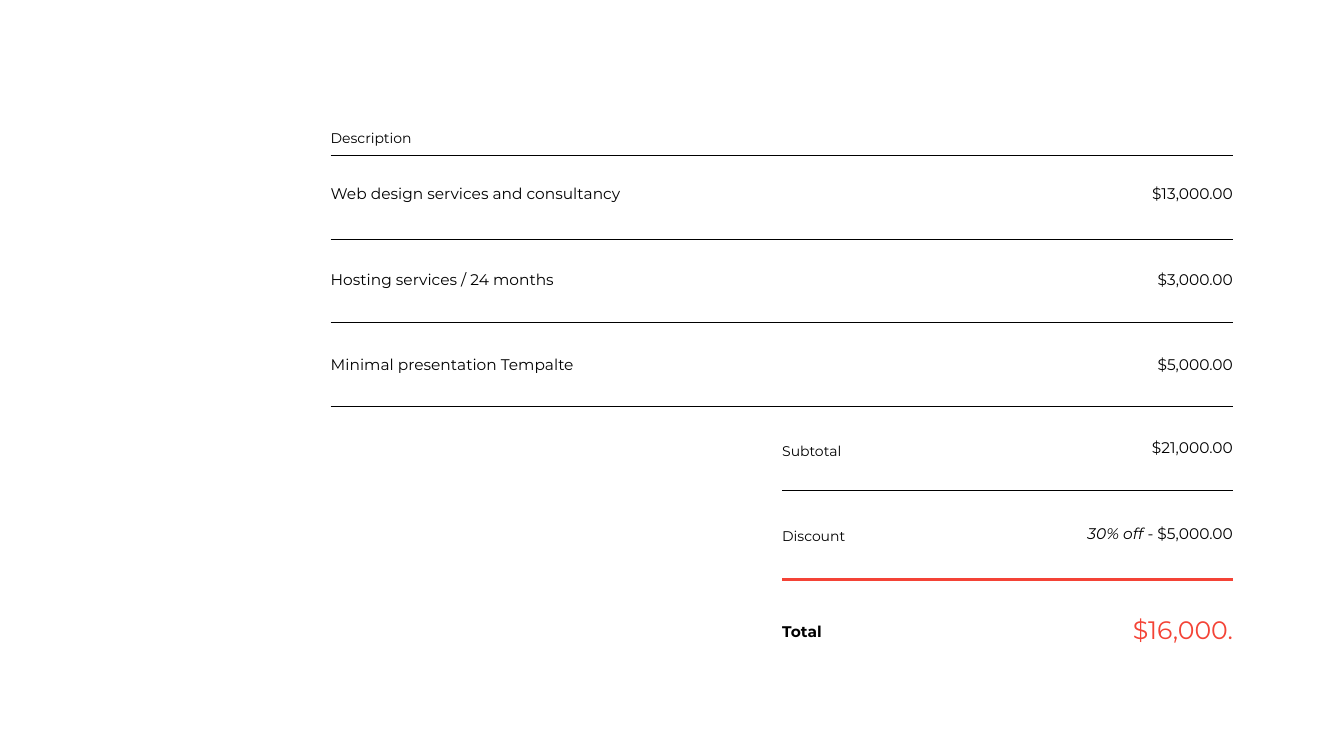
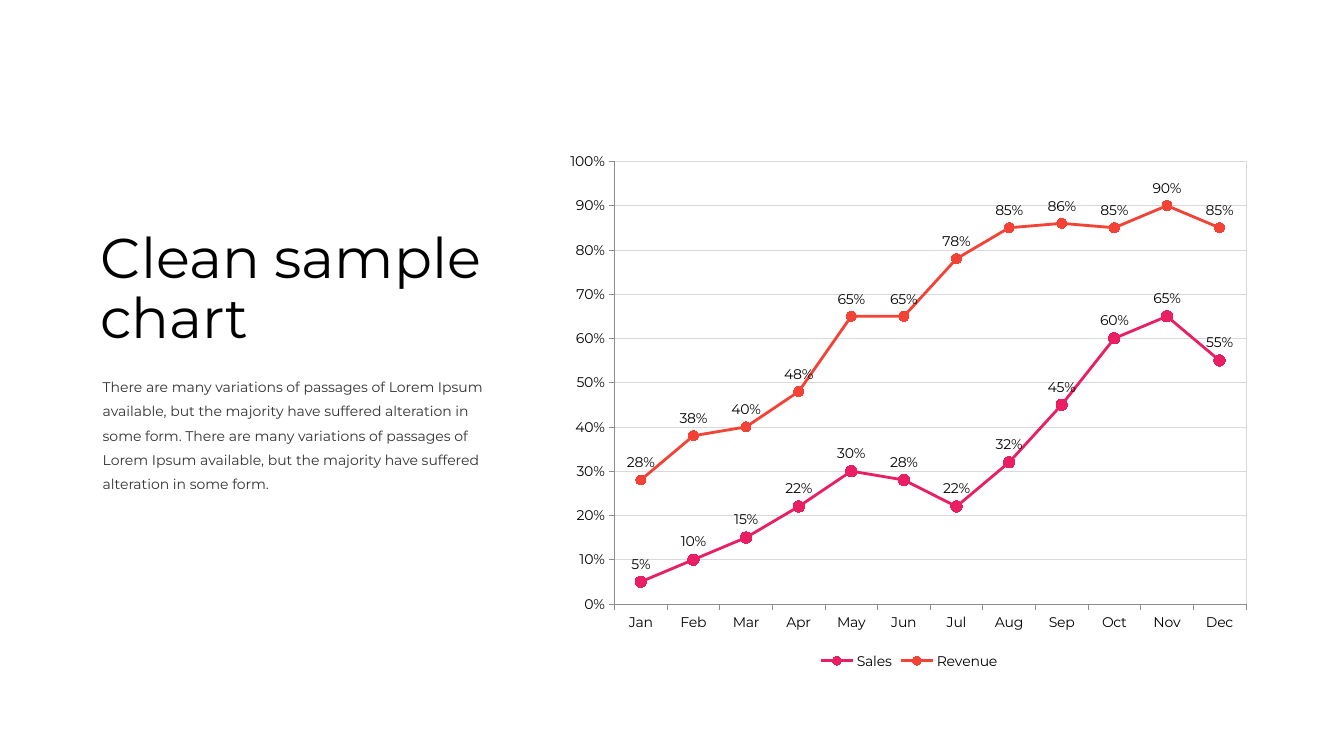
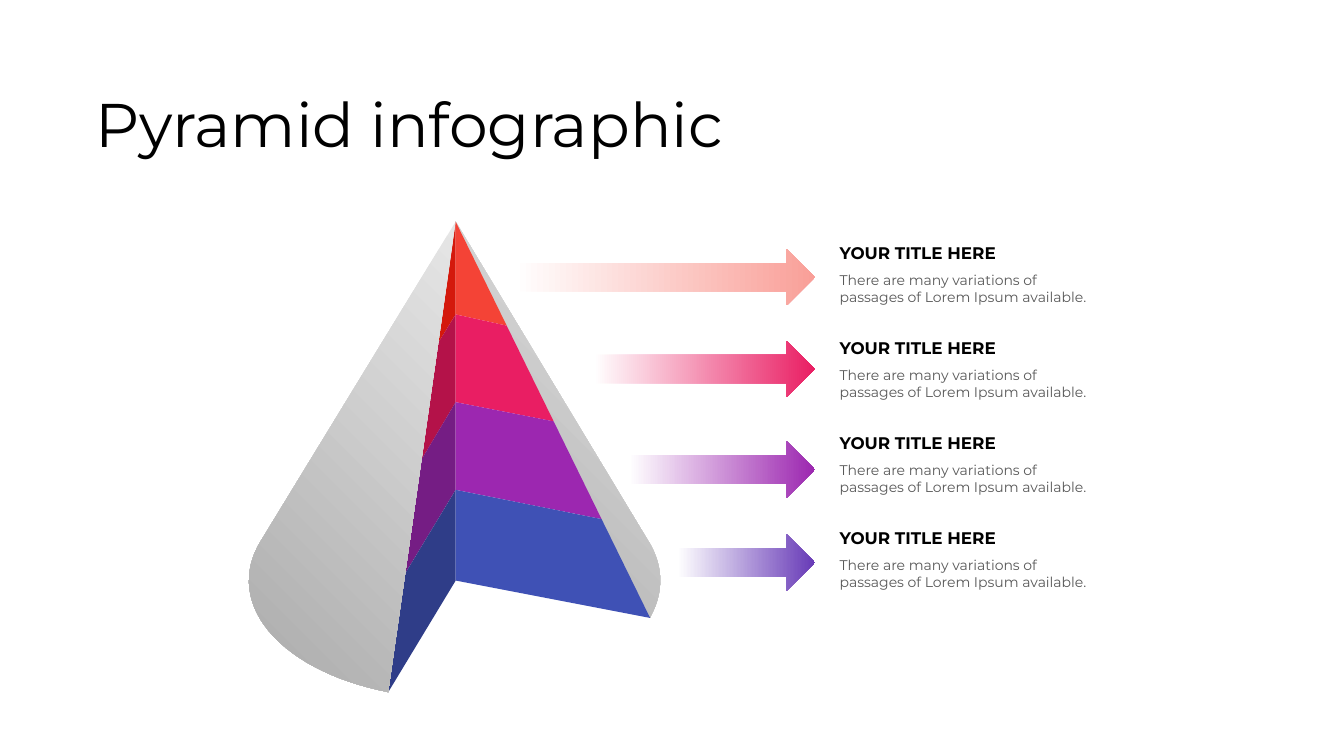
import math
from dataclasses import dataclass
from itertools import pairwise

from lxml import etree
from pptx import Presentation
from pptx import util as u
from pptx.chart.data import CategoryChartData
from pptx.dml.color import RGBColor
from pptx.enum import chart as charts, shapes, text
from pptx.oxml.ns import qn


@dataclass(frozen=True)
class Theme:
    font: str = "Montserrat"
    black: str = "000000"
    white: str = "FFFFFF"
    body: str = "333333"
    caption: str = "595959"
    red: str = "F44336"
    pink: str = "E91E63"
    purple: str = "9C27B0"
    indigo: str = "3F51B5"
    violet: str = "673AB7"
    salmon: str = "F99F98"
    dark_faces: tuple = ("D4190C", "B41249", "751D84", "2F3D88")
    cone_dark: str = "ABABAB"
    cone_light: str = "E6E6E6"
    axis: str = "8C8C8C"
    grid: str = "D9D9D9"
    title: float = 44
    heading: float = 40
    total: float = 18
    label: float = 12
    item: float = 11
    small: float = 10


THEME = Theme()
LEFT, RIGHT = text.PP_ALIGN.LEFT, text.PP_ALIGN.RIGHT
FLUSH = (0, 3.6, 0, 3.6)


@dataclass(frozen=True)
class Span:
    words: str
    size: float
    color: str = THEME.black
    bold: bool = False
    italic: bool = False


def rgb(color):
    return RGBColor.from_string(color)


def style_font(font, size, color, bold=False, italic=False):
    font.name, font.size = THEME.font, u.Pt(size)
    font.bold, font.italic = bold, italic
    font.color.rgb = rgb(color)


def add_text(page, area, paras, inset=FLUSH, align=LEFT, spacing=None, gap=0):
    """Add a text box; each paragraph is a list of spans."""
    box = page.shapes.add_textbox(*map(u.Pt, area))
    frame = box.text_frame
    frame.word_wrap = True
    (frame.margin_left, frame.margin_top,
     frame.margin_right, frame.margin_bottom) = map(u.Pt, inset)
    for index, spans in enumerate(paras):
        para = frame.add_paragraph() if index else frame.paragraphs[0]
        para.alignment = align
        if spacing:
            para.line_spacing = spacing
        if index:
            para.space_before = u.Pt(gap)
        for span in spans:
            for row, words in enumerate(span.words.split("\n")):
                if row:
                    para.add_line_break()
                run = para.add_run()
                run.text = words
                style_font(run.font, span.size, span.color, span.bold, span.italic)


def add_rule(page, left, right, top, color=THEME.black, width=0.5):
    rule = page.shapes.add_connector(
        shapes.MSO_CONNECTOR.STRAIGHT, *map(u.Pt, (left, top, right, top)))
    rule.line.color.rgb = rgb(color)
    rule.line.width = u.Pt(width)
    etree.SubElement(rule._element.spPr, qn("a:effectLst"))


def fill_gradient(shape, start, end):
    shape.fill.gradient()
    shape.fill.gradient_angle = 0
    for stop, color in zip(shape.fill.gradient_stops, (start, end)):
        stop.color.rgb = rgb(color)


def add_polygon(page, points, color=None):
    """Draw a closed outline without a border."""
    corners = [(u.Pt(x), u.Pt(y)) for x, y in points]
    builder = page.shapes.build_freeform(*corners[0])
    builder.add_line_segments(corners[1:], close=True)
    polygon = builder.convert_to_shape()
    polygon.shadow.inherit = False
    polygon.line.fill.background()
    if color:
        polygon.fill.solid()
        polygon.fill.fore_color.rgb = rgb(color)
    return polygon


def add_cone_side(page, points):
    """Shade a cone side radially from its lower left corner."""
    side = add_polygon(page, points)
    fill_gradient(side, THEME.cone_dark, THEME.cone_light)
    gradient = side._element.spPr.find(qn("a:gradFill"))
    gradient.remove(gradient.find(qn("a:lin")))
    radial = etree.SubElement(gradient, qn("a:path"))
    radial.set("path", "circle")
    focus = etree.SubElement(radial, qn("a:fillToRect"))
    focus.set("t", "100000")
    focus.set("r", "100000")


def add_arrow(page, left, top, right, color):
    arrow = page.shapes.add_shape(
        shapes.MSO_SHAPE.RIGHT_ARROW, *map(u.Pt, (left, top, right - left, 40.4)))
    arrow.shadow.inherit = False
    arrow.line.fill.background()
    fill_gradient(arrow, THEME.white, color)


def frame_plot(chart, place):
    """Place the plot area by fractions of the chart and outline it."""
    plot_area = chart._chartSpace.find(".//" + qn("c:plotArea"))
    layout = plot_area.find(qn("c:layout"))
    if layout is None:
        layout = etree.Element(qn("c:layout"))
        plot_area.insert(0, layout)
    manual = etree.SubElement(layout, qn("c:manualLayout"))
    settings = {"layoutTarget": "inner", "xMode": "edge", "yMode": "edge", **place}
    for name, value in settings.items():
        etree.SubElement(manual, qn("c:" + name)).set("val", str(value))
    outline = etree.SubElement(
        etree.SubElement(plot_area, qn("c:spPr")), qn("a:ln"), w=str(u.Pt(0.5)))
    solid = etree.SubElement(outline, qn("a:solidFill"))
    etree.SubElement(solid, qn("a:srgbClr"), val=THEME.grid)


def add_line_chart(page, area, months, series):
    """Add a marker line chart; series holds name, values, colour, marker size."""
    data = CategoryChartData(number_format="0%")
    data.categories = months
    for name, percents, _, _ in series:
        data.add_series(name, [percent / 100 for percent in percents])
    chart = page.shapes.add_chart(
        charts.XL_CHART_TYPE.LINE_MARKERS, *map(u.Pt, area), data).chart
    style_font(chart.font, THEME.small, THEME.black)
    chart.has_title = False
    chart.has_legend = True
    chart.legend.position = charts.XL_LEGEND_POSITION.BOTTOM
    chart.legend.include_in_layout = False
    style_font(chart.legend.font, THEME.small, THEME.black)

    # Axes
    for axis in (chart.category_axis, chart.value_axis):
        axis.major_tick_mark = charts.XL_TICK_MARK.OUTSIDE
        axis.minor_tick_mark = charts.XL_TICK_MARK.NONE
        axis.format.line.color.rgb = rgb(THEME.axis)
        axis.format.line.width = u.Pt(0.5)
        style_font(axis.tick_labels.font, THEME.small, THEME.black)
    values = chart.value_axis
    values.minimum_scale, values.maximum_scale, values.major_unit = 0, 1, 0.1
    values.tick_labels.number_format = "0%"
    values.tick_labels.number_format_is_linked = False
    values.has_major_gridlines = True
    values.major_gridlines.format.line.color.rgb = rgb(THEME.grid)
    values.major_gridlines.format.line.width = u.Pt(0.5)

    # Series
    plot = chart.plots[0]
    plot.vary_by_categories = False
    for line, (_, _, color, size) in zip(plot.series, series):
        line.smooth = False
        line.format.line.color.rgb = rgb(color)
        line.format.line.width = u.Pt(2)
        line.marker.style = charts.XL_MARKER_STYLE.CIRCLE
        line.marker.size = size
        line.marker.format.fill.solid()
        line.marker.format.fill.fore_color.rgb = rgb(color)
        line.marker.format.line.color.rgb = rgb(color)
        labels = line.data_labels
        labels.show_value = True
        labels.position = charts.XL_LABEL_POSITION.ABOVE
        labels.number_format = "0%"
        labels.number_format_is_linked = False
        style_font(labels.font, THEME.small, THEME.black)
    frame_plot(chart, {"x": 0.08, "y": 0.04, "w": 0.9, "h": 0.83})


def build_invoice(page):
    left, middle, right = 236.2, 558.7, 880.7
    width = right - middle

    def label(x, top, *spans, align=LEFT, height=21):
        add_text(page, (x, top, width, height), [spans], align=align)

    # Itemised services
    label(left, 88.6, Span("Description", THEME.small))
    for index in range(4):
        add_rule(page, left, right, 110.9 + 59.8 * index)
    items = (("Web design services and consultancy", "$13,000.00"),
             ("Hosting services / 24 months", "$3,000.00"),
             ("Minimal presentation Tempalte", "$5,000.00"))
    for index, (service, price) in enumerate(items):
        top = 128.2 + 60.9 * index
        label(left, top, Span(service, THEME.item))
        label(middle, top, Span(price, THEME.item), align=RIGHT)

    # Summary
    add_rule(page, middle, right, 350.6)
    add_rule(page, middle, right, 414, THEME.red, 2)
    label(middle, 312.5, Span("Subtotal", THEME.small))
    label(middle, 309.6, Span("$21,000.00", THEME.item), align=RIGHT)
    label(middle, 373, Span("Discount", THEME.small))
    label(middle, 370.8, Span("30% off", THEME.item, italic=True),
          Span(" - $5,000.00", THEME.item), align=RIGHT)
    label(middle, 440.6, Span("Total", THEME.item, bold=True))
    label(middle, 434.9, Span("$16,000.", THEME.total, THEME.red),
          align=RIGHT, height=29)


def build_chart(page):
    months = "Jan Feb Mar Apr May Jun Jul Aug Sep Oct Nov Dec".split()
    series = (
        ("Sales", (5, 10, 15, 22, 30, 28, 22, 32, 45, 60, 65, 55), THEME.pink, 8),
        ("Revenue", (28, 38, 40, 48, 65, 65, 78, 85, 86, 85, 90, 85), THEME.red, 7),
    )
    add_line_chart(page, (398.9, 100.1, 501.1, 380.9), months, series)
    add_text(page, (72, 160.6, 347, 95.8),
             [[Span("Clean sample\nchart", THEME.heading)]], spacing=0.9)
    add_text(page, (73.4, 261.4, 288, 123.8), [[Span(
        "There are many variations of passages of Lorem Ipsum available, but the "
        "majority have suffered alteration in some form. There are many variations "
        "of passages of Lorem Ipsum available, but the majority have suffered "
        "alteration in some form.", THEME.small, THEME.body)]], spacing=1.45)


def build_pyramid(page):
    add_text(page, (61.2, 64.1, 588.2, 104.4),
             [[Span("Pyramid infographic", THEME.title)]],
             inset=(7.2, 3.6, 7.2, 3.6), spacing=0.9)

    # Cut levels as points on the axis and on the two outer edges
    apex_x, apex_y = 325.5, 158.4
    left_foot, right_foot = (277.2, 494.6), (464.4, 441.4)

    def on_edge(foot, y):
        return apex_x + (foot[0] - apex_x) * (y - apex_y) / (foot[1] - apex_y), y

    axis = [(apex_x, y) for y in (apex_y, 224.6, 287.3, 349.9, 414.7)]
    left_edge = [on_edge(left_foot, y) for y in (apex_y, 244.8, 328.3, 409.7, 494.6)]
    right_edge = [on_edge(right_foot, y) for y in (apex_y, 232.6, 301, 370.8, 441.4)]

    def add_faces(edge, colors):
        for (inner, lower_inner), (outer, lower_outer), color in zip(
                pairwise(axis), pairwise(edge), colors):
            add_polygon(page, (inner, outer, lower_outer, lower_inner), color)

    def base_arc(start, end, steps=30):
        angles = (math.radians(start + (end - start) * step / steps)
                  for step in range(steps + 1))
        return [(324.7 + 146.9 * math.cos(angle), 414.7 + 84.2 * math.sin(angle))
                for angle in angles]

    # Faces and cone sides
    add_faces(left_edge, THEME.dark_faces)
    add_cone_side(page, [axis[0], *base_arc(200, 109), left_foot])
    add_cone_side(page, [axis[0], *base_arc(-20, 18), right_foot])
    add_faces(right_edge, (THEME.red, THEME.pink, THEME.purple, THEME.indigo))

    # Arrows and their captions
    arrows = ((367.2, 177.8, THEME.salmon), (424.1, 243.4, THEME.pink),
              (449.3, 315.2, THEME.purple), (483.8, 381.6, THEME.violet))
    for index, (left, top, color) in enumerate(arrows):
        add_arrow(page, left, top, 582.1, color)
        add_text(page, (590.4, 170 + 67.9 * index, 204.5, 53.3), [
            [Span("YOUR TITLE HERE", THEME.label, bold=True)],
            [Span("There are many variations of passages of Lorem Ipsum available.",
                  THEME.small, THEME.caption)],
        ], inset=(9.4, 3.6, 9.4, 5), gap=6)


def main():
    deck = Presentation()
    deck.slide_width, deck.slide_height = u.Pt(960), u.Pt(540)
    for build in (build_invoice, build_chart, build_pyramid):
        build(deck.slides.add_slide(deck.slide_layouts[6]))
    deck.save("out.pptx")


if __name__ == "__main__":
    main()
